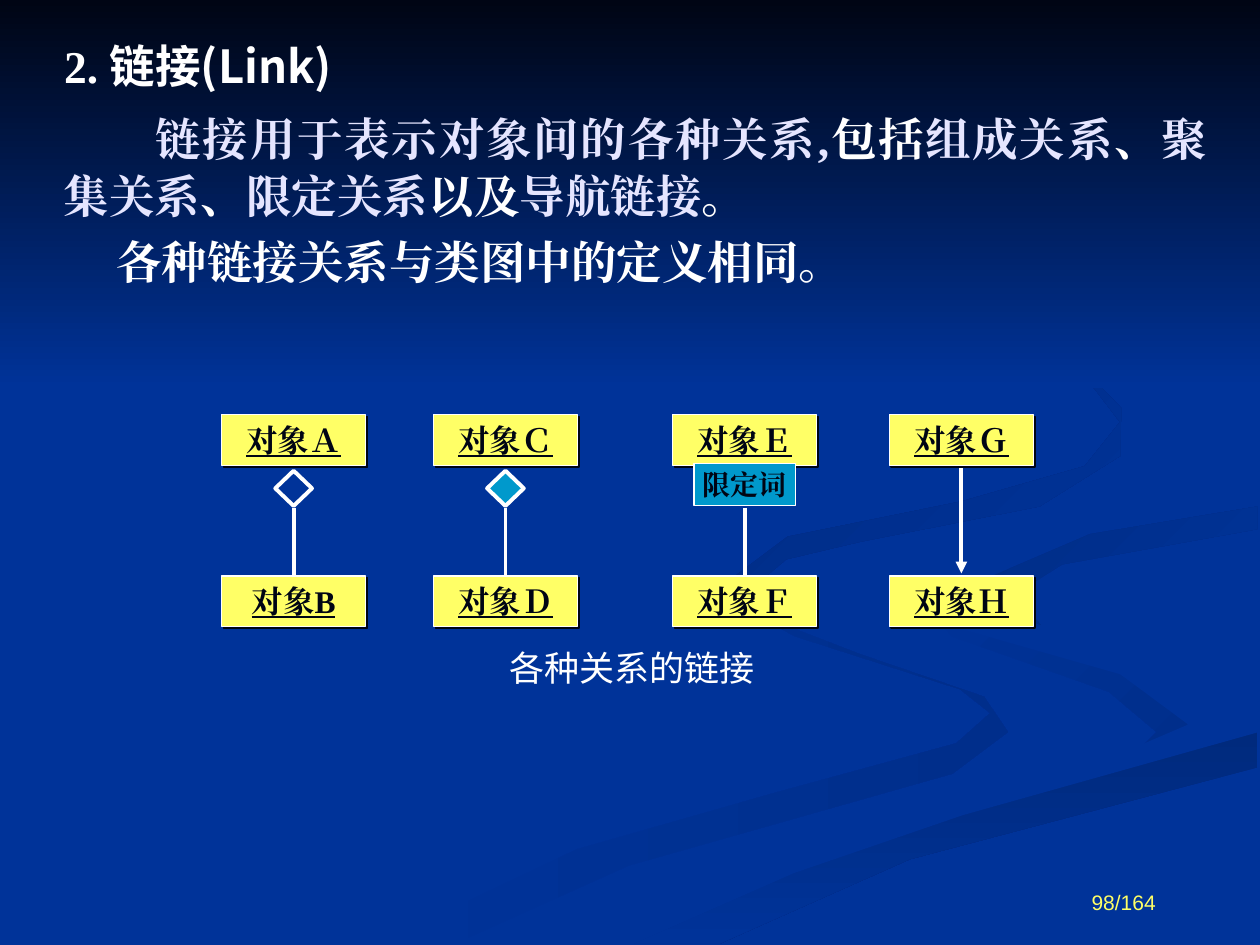
"""Build the slide on links between objects in an object diagram."""
from dataclasses import dataclass
from enum import Enum
from typing import Optional

from lxml import etree
from pptx import Presentation
from pptx import util as u
from pptx.dml.color import RGBColor
from pptx.enum import shapes, text
from pptx.oxml import ns

NAVY = RGBColor(0x00, 0x33, 0x99)
MIDNIGHT = RGBColor(0x00, 0x05, 0x14)
SHADE = RGBColor(0x00, 0x2E, 0x8B)
DEEP_SHADE = RGBColor(0x00, 0x2A, 0x7D)
MID_SHADE = RGBColor(0x00, 0x2D, 0x86)
ARC_SHADE = RGBColor(0x00, 0x2B, 0x82)
WHITE = RGBColor(0xFF, 0xFF, 0xFF)
LAVENDER = RGBColor(0xE5, 0xE5, 0xFF)
YELLOW = RGBColor(0xFF, 0xFF, 0x66)
TEAL = RGBColor(0x00, 0x99, 0xCC)
SERIF = "Times New Roman"
HAN = "Noto Sans CJK SC"
GRID = u.Cm(2.54) / 100
CARD_WIDTH, CARD_HEIGHT = 2.9, 1.02
UPPER_TOP, LOWER_TOP = 8.36, 11.61


class End(Enum):
    AGGREGATION = "aggregation"
    COMPOSITION = "composition"
    QUALIFIER = "qualifier"
    NAVIGATION = "navigation"


@dataclass(frozen=True)
class Link:
    left: float
    upper: str
    lower: str
    end: End


@dataclass(frozen=True)
class Ribbon:
    start: RGBColor
    finish: RGBColor
    angle: int
    points: list


@dataclass(frozen=True)
class Style:
    size: float
    color: RGBColor
    face: str = SERIF
    bold: bool = False
    underline: bool = False


LINKS = [
    Link(4.47, "对象Ａ", "对象B", End.AGGREGATION),
    Link(8.74, "对象Ｃ", "对象Ｄ", End.COMPOSITION),
    Link(17.93, "对象Ｇ", "对象Ｈ", End.NAVIGATION),
    Link(13.56, "对象Ｅ", "对象Ｆ", End.QUALIFIER),
]

RIBBONS = [
    Ribbon(NAVY, SHADE, 0, [
        (781, 553), (682, 519), (594, 485), (575, 459), (570, 472), (631, 505), (762, 547),
        (786, 566), (759, 590), (616, 629), (458, 674), (300, 749), (361, 749), (499, 687),
        (756, 614), (800, 581)]),
    Ribbon(NAVY, SHADE, 45, [
        (943, 570), (888, 535), (758, 498), (724, 464), (755, 505), (880, 549), (918, 581),
        (894, 605), (941, 581)]),
    Ribbon(DEEP_SHADE, NAVY, 90, [
        (503, 749), (571, 749), (722, 682), (998, 609), (998, 581), (764, 647), (630, 693)]),
    Ribbon(NAVY, NAVY, 0, [
        (725, 464), (759, 498), (889, 535), (943, 575), (843, 618), (663, 668), (477, 749),
        (503, 749), (630, 693), (764, 647), (999, 581), (999, 538), (817, 492), (782, 460),
        (865, 424), (999, 402), (999, 387), (788, 422)]),
    Ribbon(MID_SHADE, NAVY, 45, [
        (781, 460), (797, 483), (826, 496), (805, 472), (843, 448), (998, 420), (998, 402),
        (865, 424)]),
    Ribbon(ARC_SHADE, NAVY, 45, [
        (683, 430), (825, 402), (889, 362), (890, 324), (843, 275), (762, 233), (846, 279),
        (889, 335), (861, 370), (763, 398), (625, 426), (577, 462), (622, 500), (593, 470),
        (624, 444)]),
    Ribbon(MIDNIGHT, NAVY, 90, [(0, 0), (0, 308), (1000, 308), (1000, 0)]),
]

BODY = [
    (1.85, [("链接用于表示对象间的各种关系,", LAVENDER), ("包括", WHITE), ("组成关系", LAVENDER),
            ("、", WHITE), ("聚集关系", LAVENDER), ("、", WHITE), ("限定关系", LAVENDER),
            ("以及", WHITE), ("导航链接", LAVENDER), ("。", WHITE)]),
    (1.05, [("各种链接关系与类图中的定义相同。", WHITE)]),
]


def place(left: float, top: float, width: float, height: float) -> tuple:
    return u.Cm(left), u.Cm(top), u.Cm(width), u.Cm(height)


def add_run(paragraph, words: str, style: Style) -> None:
    run = paragraph.add_run()
    run.text = words
    font = run.font
    font.size, font.bold, font.underline = u.Pt(style.size), style.bold, style.underline
    font.color.rgb = style.color
    font.name = style.face
    etree.SubElement(run._r.get_or_add_rPr(), ns.qn("a:ea"), typeface=style.face)


def add_ribbon(slide, ribbon: Ribbon) -> None:
    builder = slide.shapes.build_freeform(*ribbon.points[0], scale=GRID)
    builder.add_line_segments(ribbon.points[1:], close=True)
    shape = builder.convert_to_shape()
    shape.shadow.inherit = False
    shape.line.fill.background()
    shape.fill.gradient()
    shape.fill.gradient_angle = (360 - ribbon.angle) % 360
    for stop, color in zip(shape.fill.gradient_stops, (ribbon.start, ribbon.finish)):
        stop.color.rgb = color


def add_figure(slide, kind, box: tuple, fill: Optional[RGBColor], weight: float):
    shape = slide.shapes.add_shape(kind, *place(*box))
    shape.shadow.inherit = False
    if fill is None:
        shape.fill.background()
    else:
        shape.fill.solid()
        shape.fill.fore_color.rgb = fill
    shape.line.color.rgb = WHITE
    shape.line.width = u.Pt(weight)
    return shape


def add_card(slide, box: tuple, words: str, fill: RGBColor, style: Style):
    shape = add_figure(slide, shapes.MSO_SHAPE.RECTANGLE, box, fill, 0.75)
    shape.text_frame.word_wrap = False
    paragraph = shape.text_frame.paragraphs[0]
    paragraph.alignment = text.PP_ALIGN.CENTER
    add_run(paragraph, words, style)
    return shape


def add_object(slide, left: float, top: float, words: str) -> None:
    shape = add_card(slide, (left, top, CARD_WIDTH, CARD_HEIGHT), words, YELLOW,
                     Style(18, MIDNIGHT, bold=True, underline=True))
    effects = shape._element.spPr.find(ns.qn("a:effectLst"))
    shadow = etree.SubElement(effects, ns.qn("a:outerShdw"), dist=str(u.Pt(1.4)), dir="2700000")
    etree.SubElement(shadow, ns.qn("a:srgbClr"), val=str(MIDNIGHT))


def add_link(slide, link: Link) -> None:
    center = link.left + CARD_WIDTH / 2
    arrow = link.end is End.NAVIGATION
    start, finish = (9.3, 11.56) if arrow else (10.24, 11.66)
    line = slide.shapes.add_connector(shapes.MSO_CONNECTOR.STRAIGHT, u.Cm(center), u.Cm(start),
                                      u.Cm(center), u.Cm(finish))
    line.line.color.rgb = WHITE
    line.line.width = u.Pt(2.25)
    if arrow:
        etree.SubElement(line.line._get_or_add_ln(), ns.qn("a:tailEnd"), type="triangle")
    etree.SubElement(line._element.spPr, ns.qn("a:effectLst"))
    add_object(slide, link.left, UPPER_TOP, link.upper)
    add_object(slide, link.left, LOWER_TOP, link.lower)
    if link.end is End.QUALIFIER:
        add_card(slide, (center - 1.02, 9.35, 2.05, 0.84), "限定词", TEAL,
                 Style(16, MIDNIGHT, bold=True))
    elif not arrow:
        fill = TEAL if link.end is End.COMPOSITION else None
        add_figure(slide, shapes.MSO_SHAPE.DIAMOND, (center - 0.37, 9.49, 0.74, 0.71), fill, 2.25)


def add_label(slide, box: tuple, words: str, style: Style, alignment, anchor) -> None:
    frame = slide.shapes.add_textbox(*place(*box)).text_frame
    frame.word_wrap = True
    frame.vertical_anchor = anchor
    frame.paragraphs[0].alignment = alignment
    add_run(frame.paragraphs[0], words, style)


def add_heading(slide) -> None:
    title = slide.shapes.title
    title.left, title.top, title.width, title.height = place(1.04, 0.64, 23.55, 1.5)
    title.text_frame.vertical_anchor = text.MSO_ANCHOR.TOP
    paragraph = title.text_frame.paragraphs[0]
    paragraph.alignment = text.PP_ALIGN.LEFT
    add_run(paragraph, "2. ", Style(26, WHITE, bold=True))
    add_run(paragraph, "链接(Link)", Style(26, WHITE, HAN, bold=True))


def add_body(slide) -> None:
    frame = slide.shapes.add_textbox(*place(1.04, 2.06, 23.55, 3.76)).text_frame
    frame.word_wrap = True
    for index, (indent, pieces) in enumerate(BODY):
        paragraph = frame.add_paragraph() if index else frame.paragraphs[0]
        paragraph.alignment = text.PP_ALIGN.JUSTIFY
        paragraph.line_spacing = 1.05
        paragraph.space_before = u.Pt(4.9 if index else 0)
        paragraph._p.get_or_add_pPr().set("indent", str(u.Cm(indent)))
        for words, color in pieces:
            add_run(paragraph, words, Style(26, color, bold=True))


def main() -> None:
    presentation = Presentation()
    presentation.slide_width, presentation.slide_height = u.Cm(25.4), u.Cm(19.05)
    slide = presentation.slides.add_slide(presentation.slide_layouts[5])
    slide.background.fill.solid()
    slide.background.fill.fore_color.rgb = NAVY
    for ribbon in RIBBONS:
        add_ribbon(slide, ribbon)
    title = slide.shapes.title._element
    title.getparent().append(title)
    add_heading(slide)
    add_body(slide)
    for link in LINKS:
        add_link(slide, link)
    add_label(slide, (7.52, 12.65, 10.44, 1.6), "各种关系的链接", Style(20, WHITE, HAN),
              text.PP_ALIGN.CENTER, text.MSO_ANCHOR.MIDDLE)
    add_label(slide, (17.63, 17.25, 5.92, 1.32), "98/164", Style(12, YELLOW, "Arial"),
              text.PP_ALIGN.RIGHT, text.MSO_ANCHOR.BOTTOM)
    presentation.save("out.pptx")


if __name__ == "__main__":
    main()
